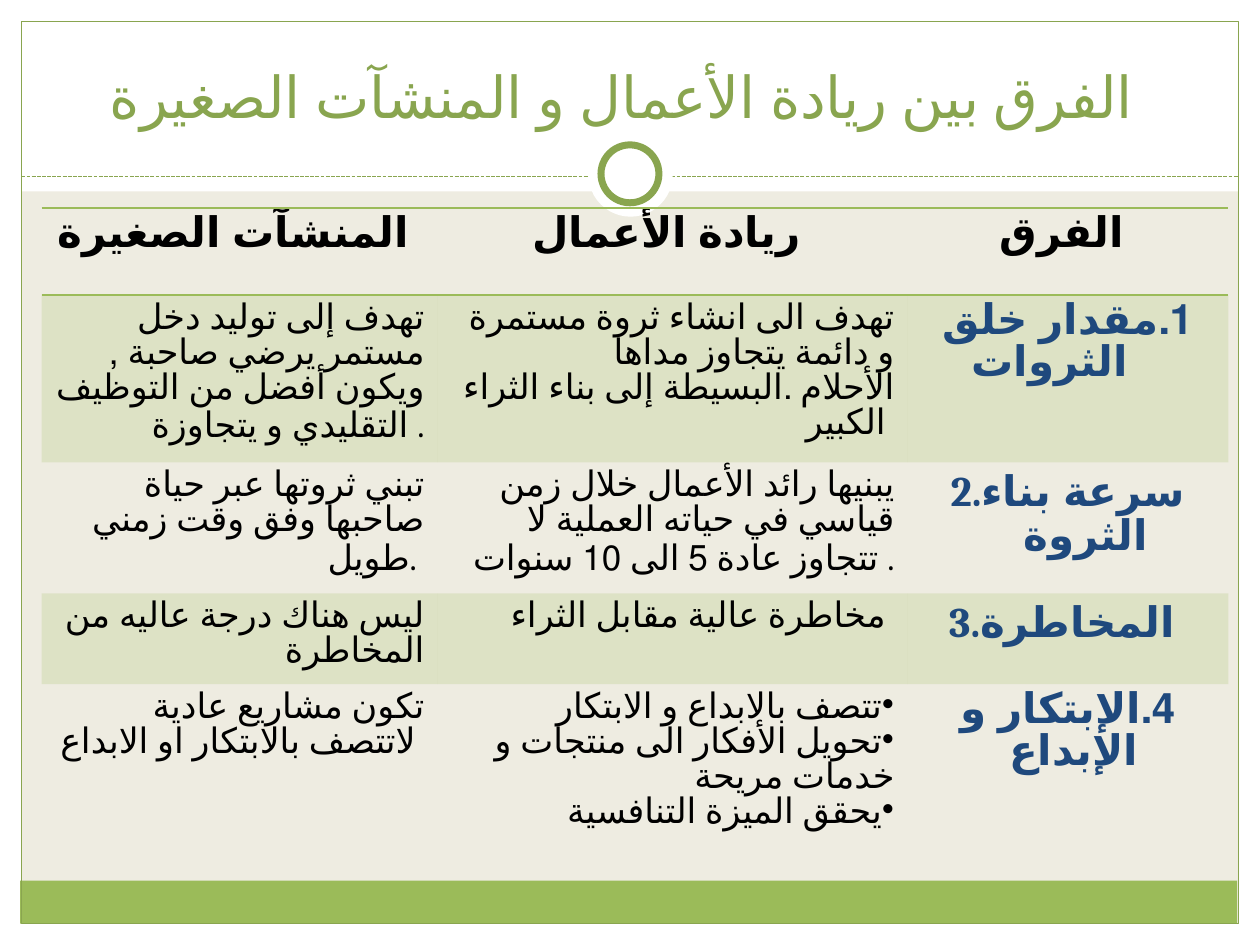
from dataclasses import dataclass

import pptx
import pptx.dml.color
import pptx.enum.dml
import pptx.enum.lang
import pptx.enum.shapes
import pptx.enum.text
import pptx.oxml
import pptx.oxml.ns
import pptx.util
from pptx.util import Inches

COLORS = {"paper": "EEECE1", "white": "FFFFFF", "green": "9BBB59",
          "dark_green": "89A54F", "navy": "1F497D", "black": "000000"}
FONT = "Cambria"
ARABIC = pptx.enum.lang.MSO_LANGUAGE_ID.ARABIC
SHAPE = pptx.enum.shapes.MSO_SHAPE
ALIGN = pptx.enum.text.PP_ALIGN
NO_GRID_STYLE = "{2D5ABB26-0587-4C30-8999-92F81FD0307C}"

HEADER = {"size": 24, "bold": True, "color": "black", "align": ALIGN.CENTER}
DETAIL = {"size": 20, "bold": False, "color": "black", "align": ALIGN.RIGHT}
ASPECT = {"size": 24, "bold": True, "color": "navy", "align": ALIGN.CENTER}


@dataclass
class Panel:
    left: float
    top: float
    width: float
    height: float
    fill: str | None = "white"
    line: str | None = None
    weight: float = 0.75
    preset: int = SHAPE.RECTANGLE


@dataclass
class Entry:
    lines: list[str]
    rtl: bool = False
    hanging: bool = False
    bullet: bool = False


PANELS = [
    Panel(0, 7.33, 10, 0.17),
    Panel(0, 0, 10, 1.52),
    Panel(0, 0, 0.17, 7.5),
    Panel(9.83, 0, 0.17, 7.5),
    Panel(0.16, 6.99, 9.66, 0.34, "green"),
    Panel(0.17, 0.17, 9.66, 7.16, None, "dark_green"),
]
RINGS = [
    Panel(4.67, 1.05, 0.67, 0.67, preset=SHAPE.OVAL),
    Panel(4.77, 1.15, 0.46, 0.46, line="dark_green", weight=4, preset=SHAPE.OVAL),
]
COLUMN_WIDTHS = [3.14, 3.73, 2.55]
ROW_HEIGHTS = [0.69, 1.33, 1.04, 0.72, 1.58]
ROWS = [
    [Entry(["المنشآت الصغيرة "]), Entry(["ريادة الأعمال "]), Entry(["الفرق "])],
    [Entry(["تهدف إلى توليد دخل مستمر يرضي صاحبة , ويكون أفضل من التوظيف التقليدي و يتجاوزة ."]),
     Entry(["تهدف الى انشاء ثروة مستمرة و دائمة يتجاوز مداها الأحلام .البسيطة إلى بناء الثراء الكبير "]),
     Entry(["1.مقدار خلق الثروات "], rtl=True, hanging=True)],
    [Entry(["تبني ثروتها عبر حياة صاحبها وفق وقت زمني طويل. "]),
     Entry(["يبنيها رائد الأعمال خلال زمن قياسي في حياته العملية لا تتجاوز عادة 5 الى 10 سنوات ."]),
     Entry(["2.سرعة بناء الثروة "], hanging=True)],
    [Entry(["ليس هناك درجة عاليه من المخاطرة"]),
     Entry([" مخاطرة عالية مقابل الثراء "]),
     Entry(["3.المخاطرة "])],
    [Entry(["تكون مشاريع عادية لاتتصف بالابتكار او الابداع "]),
     Entry(["تتصف بالابداع و الابتكار", "تحويل الأفكار الى منتجات و خدمات مريحة ",
            "يحقق الميزة التنافسية "], rtl=True, bullet=True),
     Entry(["4.الإبتكار و الإبداع "], rtl=True)],
]


def rgb(name: str) -> pptx.dml.color.RGBColor:
    return pptx.dml.color.RGBColor.from_string(COLORS[name])


def add_child(parent, tag: str, **attributes: str):
    child = pptx.oxml.parse_xml(f"<{tag} {pptx.oxml.ns.nsdecls('a')}/>")
    for key, value in attributes.items():
        child.set(key, value)
    parent.append(child)
    return child


def draw_panel(slide, panel: Panel) -> None:
    box = [Inches(v) for v in (panel.left, panel.top, panel.width, panel.height)]
    shape = slide.shapes.add_shape(panel.preset, *box)
    shape.shadow.inherit = False
    if panel.fill:
        shape.fill.solid()
        shape.fill.fore_color.rgb = rgb(panel.fill)
    else:
        shape.fill.background()
    if panel.line:
        shape.line.color.rgb = rgb(panel.line)
        shape.line.width = pptx.util.Pt(panel.weight)
    else:
        shape.line.fill.background()


def draw_divider(slide) -> None:
    divider = slide.shapes.add_connector(
        pptx.enum.shapes.MSO_CONNECTOR.STRAIGHT,
        Inches(0.17), Inches(1.4), Inches(9.83), Inches(1.4))
    divider.line.color.rgb = rgb("dark_green")
    divider.line.width = pptx.util.Pt(0.75)
    divider.line.dash_style = pptx.enum.dml.MSO_LINE.SQUARE_DOT
    add_child(divider.element.spPr, "a:effectLst")


def format_paragraph(paragraph, style: dict) -> None:
    paragraph.alignment = style["align"]
    font_values = {"name": FONT, "size": pptx.util.Pt(style["size"]),
                   "bold": style["bold"], "language_id": ARABIC}
    for run in paragraph.runs:
        for key, value in font_values.items():
            setattr(run.font, key, value)
        run.font.color.rgb = rgb(style["color"])


def write_title(slide, text: str) -> None:
    title = slide.shapes.title
    box = {"left": 0.33, "top": 0.25, "width": 9.33, "height": 0.83}
    for key, value in box.items():
        setattr(title, key, Inches(value))
    title.text_frame.text = text
    title.text_frame.vertical_anchor = pptx.enum.text.MSO_ANCHOR.BOTTOM
    format_paragraph(title.text_frame.paragraphs[0],
                     {"size": 33, "bold": False, "color": "dark_green", "align": ALIGN.CENTER})
    # Bring the title in front of the white band
    title.element.getparent().append(title.element)


def write_entry(cell, entry: Entry, style: dict) -> None:
    cell.text_frame.text = "\n".join(entry.lines)
    for paragraph in cell.text_frame.paragraphs:
        properties = paragraph._p.get_or_add_pPr()
        if entry.rtl:
            properties.set("rtl", "1")
        if entry.hanging:
            properties.set("marL", str(Inches(0.38)))
            properties.set("indent", str(Inches(-0.38)))
        if entry.bullet:
            add_child(properties, "a:buChar", char="•")
        format_paragraph(paragraph, style)


def paint_cell(cell, edges: list[str], banded: bool) -> None:
    properties = cell._tc.get_or_add_tcPr()
    for edge in edges:
        border = add_child(properties, f"a:{edge}", w=str(pptx.util.Pt(1)))
        add_child(add_child(border, "a:solidFill"), "a:srgbClr", val=COLORS["green"])
    if banded:
        cell.fill.solid()
        cell.fill.fore_color.rgb = rgb("green")
        color = properties.find(".//" + pptx.oxml.ns.qn("a:srgbClr"))
        add_child(color, "a:alpha", val="20000")
    else:
        cell.fill.background()


def draw_comparison(slide) -> None:
    comparison = slide.shapes.add_table(
        len(ROWS), len(COLUMN_WIDTHS), Inches(0.33), Inches(1.65),
        Inches(sum(COLUMN_WIDTHS)), Inches(sum(ROW_HEIGHTS))).table
    comparison._tbl.tblPr.find(pptx.oxml.ns.qn("a:tableStyleId")).text = NO_GRID_STYLE
    for column, width in zip(comparison.columns, COLUMN_WIDTHS):
        column.width = Inches(width)
    edges = {0: ["lnT", "lnB"], len(ROWS) - 1: ["lnB"]}
    for r, entries in enumerate(ROWS):
        comparison.rows[r].height = Inches(ROW_HEIGHTS[r])
        for c, entry in enumerate(entries):
            cell = comparison.cell(r, c)
            style = HEADER if r == 0 else ASPECT if c == 2 else DETAIL
            write_entry(cell, entry, style)
            paint_cell(cell, edges.get(r, []), banded=r % 2 == 1)


def main() -> None:
    deck = pptx.Presentation()
    deck.slide_width, deck.slide_height = Inches(10), Inches(7.5)
    slide = deck.slides.add_slide(deck.slide_layouts[5])
    slide.background.fill.solid()
    slide.background.fill.fore_color.rgb = rgb("paper")

    # Frame, dashed divider and ring
    for panel in PANELS:
        draw_panel(slide, panel)
    draw_divider(slide)
    for ring in RINGS:
        draw_panel(slide, ring)

    # Title and comparison table
    write_title(slide, "الفرق بين ريادة الأعمال و المنشآت الصغيرة ")
    draw_comparison(slide)
    deck.save("out.pptx")


if __name__ == "__main__":
    main()
